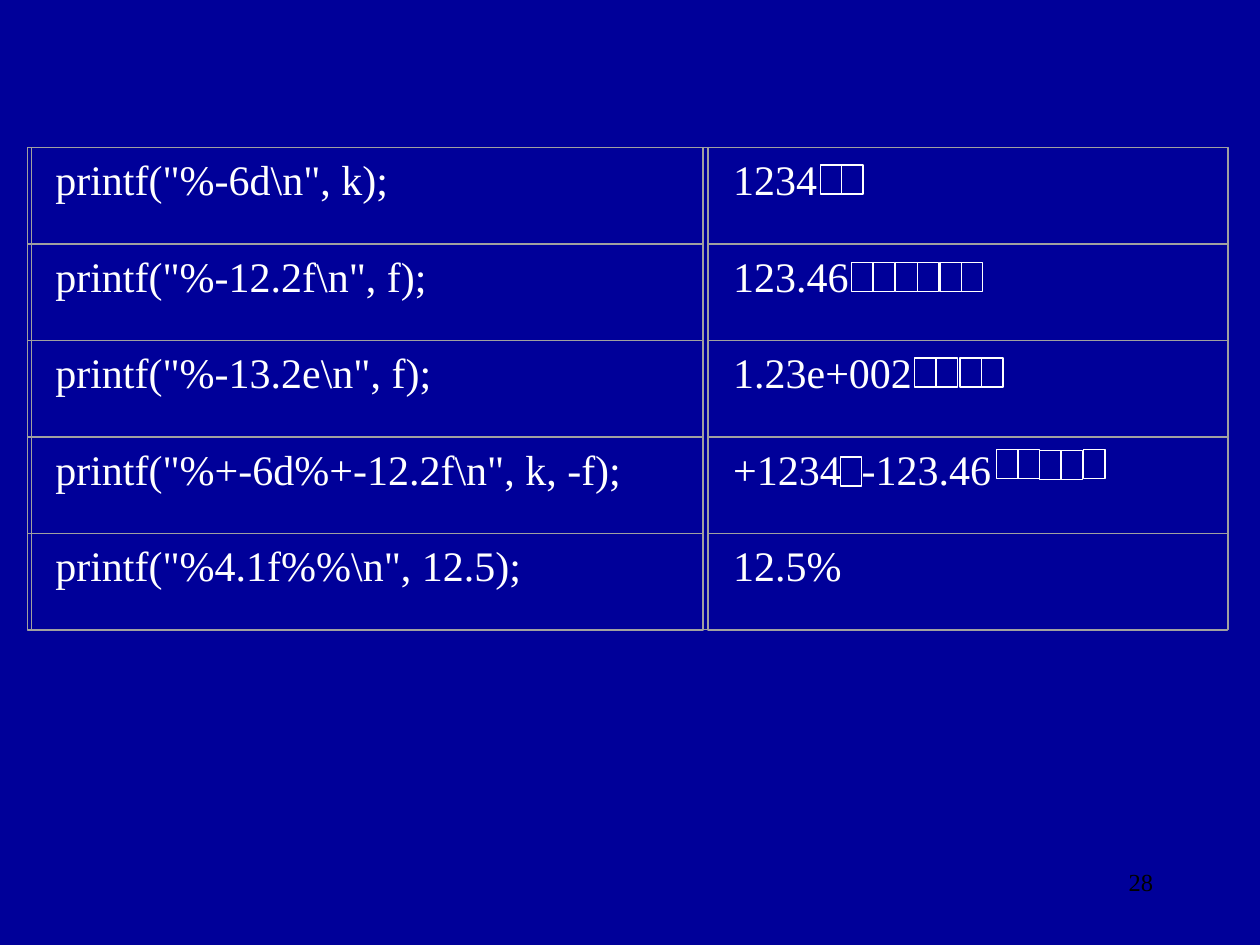
from lxml.etree import SubElement
from pptx import Presentation
from pptx.dml.color import RGBColor
from pptx.enum.shapes import MSO_SHAPE as Shape
from pptx.enum.text import PP_ALIGN as Align
from pptx.oxml.ns import qn
from pptx.util import Inches, Pt

NAVY = RGBColor(0x00, 0x00, 0x99)
GREY = RGBColor(0xA0, 0xA0, 0xA0)
WHITE = RGBColor(0xFF, 0xFF, 0xFF)
BLACK = RGBColor(0x00, 0x00, 0x00)
FONT = "Times New Roman"

CALLS = [
    r'printf("%-6d\n", k);',
    r'printf("%-12.2f\n", f);',
    r'printf("%-13.2e\n", f);',
    r'printf("%+-6d%+-12.2f\n", k, -f);',
    r'printf("%4.1f%%\n", 12.5);',
]
PRINTS = ["1234", "123.46", "1.23e+002", "+1234\t-123.46", "12.5%"]

# Padding blanks in each row: offset from the row's corner, and count
PADS = [
    [(0.89, 0.14, 2)],
    [(1.14, 0.15, 2), (1.49, 0.15, 2), (1.84, 0.15, 2)],
    [(1.64, 0.14, 2), (2.0, 0.14, 2)],
    [(2.29, 0.1, 2), (2.63, 0.11, 2), (2.98, 0.1, 1), (1.05, 0.16, 1)],
    [],
]
PAD_W, PAD_H = Inches(0.17), Inches(0.23)


def add_text(slide, box, text, size, color, align, tab=None):
    frame = slide.shapes.add_textbox(*box).text_frame
    frame.word_wrap = True
    para = frame.paragraphs[0]
    para.alignment = align
    if tab:
        stops = SubElement(para._p.get_or_add_pPr(), qn("a:tabLst"))
        SubElement(stops, qn("a:tab"), pos=str(tab), algn="l")
    run = para.add_run()
    run.text = text
    run.font.name = FONT
    run.font.size = Pt(size)
    run.font.color.rgb = color


def add_frame(slide, box, color, width):
    rect = slide.shapes.add_shape(Shape.RECTANGLE, *box)
    rect.shadow.inherit = False
    rect.fill.background()
    rect.line.color.rgb = color
    rect.line.width = Pt(width)


def add_column(slide, box, inset, texts, tab=None):
    """Stack one framed cell per text, with the text inset at both sides."""
    left, top, width, height = box
    step = height // len(texts)
    for row, text in enumerate(texts):
        y = top + row * step
        add_text(slide, (left + inset, y, width - 2 * inset, step),
                 text, 24, WHITE, Align.JUSTIFY, tab if "\t" in text else None)
        add_frame(slide, (left, y, width, step), GREY, 0)


def add_pads(slide, box):
    """Draw the blanks that printf pads each row with."""
    left, top, _, height = box
    step = height // len(PADS)
    for row, groups in enumerate(PADS):
        for dx, dy, count in groups:
            x, y = left + Inches(dx), top + row * step + Inches(dy)
            for i in range(count):
                add_frame(slide, (x + i * PAD_W, y, PAD_W, PAD_H), WHITE, 0.75)


def main():
    deck = Presentation()
    deck.slide_width, deck.slide_height = Inches(10), Inches(7.5)
    slide = deck.slides.add_slide(deck.slide_layouts[6])
    fill = slide.background.fill
    fill.solid()
    fill.fore_color.rgb = NAVY

    top, height = Inches(1.17), Inches(3.83)
    calls = (Inches(0.22), top, Inches(5.36), height)
    prints = (Inches(5.62), top, Inches(4.12), height)
    add_column(slide, calls, Inches(0.12), CALLS)
    add_column(slide, prints, Inches(0.1), PRINTS, tab=Inches(1.02))
    add_frame(slide, (Inches(0.25), top, Inches(9.5), height), GREY, 0.5)
    add_pads(slide, prints)

    number = (Inches(7.17), Inches(6.83), Inches(2.08), Inches(0.5))
    add_text(slide, number, "28", 14, BLACK, Align.RIGHT)
    deck.save("out.pptx")


if __name__ == "__main__":
    main()
